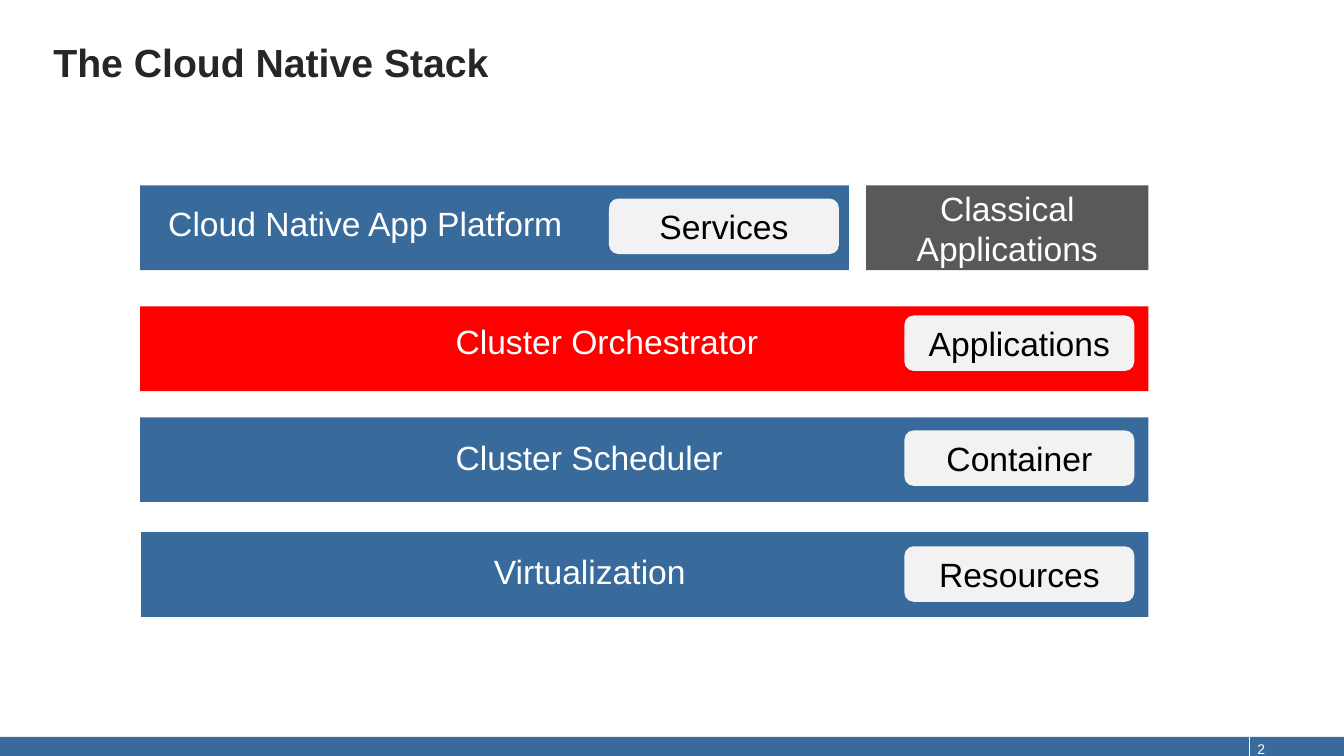
from dataclasses import dataclass

import pptx
import pptx.dml.color
import pptx.enum.shapes
import pptx.enum.text
import pptx.util
from pptx.util import Inches

SHAPE = pptx.enum.shapes.MSO_SHAPE
ALIGN = pptx.enum.text.PP_ALIGN
ANCHOR = pptx.enum.text.MSO_ANCHOR


@dataclass(frozen=True)
class Theme:
    font: str = "Arial"
    blue: str = "386B9B"
    red: str = "FF0000"
    gray: str = "595959"
    pale: str = "F2F2F2"
    white: str = "FFFFFF"
    black: str = "000000"
    heading: str = "262626"
    title_size: int = 28
    label_size: int = 24
    number_size: int = 10


THEME = Theme()
LAYER_HEIGHT = 0.84
LAYER_RIGHT = 11.39


def rgb(color):
    return pptx.dml.color.RGBColor.from_string(color)


def write(shape, text, size, color, bold=False, align=ALIGN.LEFT, anchor=ANCHOR.TOP):
    frame = shape.text_frame
    frame.text = text
    frame.vertical_anchor = anchor
    para = frame.paragraphs[0]
    para.alignment = align
    font = para.runs[0].font
    font.name = THEME.font
    font.size = pptx.util.Pt(size)
    font.bold = bold
    font.color.rgb = rgb(color)


def add_block(page, left, top, width, height, fill, kind=SHAPE.RECTANGLE):
    block = page.shapes.add_shape(
        kind, Inches(left), Inches(top), Inches(width), Inches(height))
    block.shadow.inherit = False
    block.fill.solid()
    block.fill.fore_color.rgb = rgb(fill)
    block.line.fill.background()
    return block


def add_label(page, text, left, top, width):
    box = page.shapes.add_textbox(
        Inches(left), Inches(top), Inches(width), Inches(0.5))
    box.text_frame.word_wrap = False
    write(box, text, THEME.label_size, THEME.white)


def add_tag(page, text, left, top):
    """Add the pale rounded box naming what a layer provides."""
    tag = add_block(page, left, top, 2.28, 0.55, THEME.pale, SHAPE.ROUNDED_RECTANGLE)
    write(tag, text, THEME.label_size, THEME.black,
          align=ALIGN.CENTER, anchor=ANCHOR.MIDDLE)


def add_title(page, text):
    title = page.shapes.title
    title.left, title.top = Inches(0.43), Inches(0.38)
    title.width, title.height = Inches(12.21), Inches(1.09)
    write(title, text, THEME.title_size, THEME.heading, bold=True)
    title.text_frame.paragraphs[0].line_spacing = pptx.util.Pt(30)


def add_footer(page, number):
    add_block(page, 0, 7.31, 13.33, 0.19, THEME.blue)
    divider = page.shapes.add_connector(
        pptx.enum.shapes.MSO_CONNECTOR.STRAIGHT,
        Inches(12.39), Inches(7.31), Inches(12.39), Inches(7.5))
    divider.line.color.rgb = rgb(THEME.white)
    divider.line.width = pptx.util.Pt(1)
    properties = divider._element.spPr
    properties.append(properties.makeelement(pptx.oxml.ns.qn("a:effectLst"), {}))
    box = page.shapes.add_textbox(
        Inches(12.47), Inches(7.16), Inches(0.78), Inches(0.4))
    box.text_frame.word_wrap = True
    box.text_frame.margin_left = box.text_frame.margin_right = 0
    write(box, number, THEME.number_size, THEME.white, anchor=ANCHOR.BOTTOM)


def main():
    deck = pptx.Presentation()
    deck.slide_width, deck.slide_height = Inches(13.33), Inches(7.5)
    page = deck.slides.add_slide(deck.slide_layouts[5])
    add_title(page, "The Cloud Native Stack")
    add_footer(page, "2")

    # Layer: left, top, right, fill; label: text, left, top, width; tag: text, left, top
    layers = [
        ((1.39, 1.84, 8.42, THEME.blue),
         ("Cloud Native App Platform", 1.57, 1.96, 4.29), ("Services", 6.04, 1.97)),
        ((1.39, 3.04, LAYER_RIGHT, THEME.red),
         ("Cluster Orchestrator", 4.42, 3.13, 3.23), ("Applications", 8.97, 3.13)),
        ((1.39, 4.14, LAYER_RIGHT, THEME.blue),
         ("Cluster Scheduler", 4.42, 4.29, 2.88), ("Container", 8.97, 4.27)),
        ((1.4, 5.28, LAYER_RIGHT, THEME.blue),
         ("Virtualization", 4.8, 5.42, 2.13), ("Resources", 8.97, 5.42)),
    ]
    for (left, top, right, fill), label, tag in layers:
        add_block(page, left, top, right - left, LAYER_HEIGHT, fill)
        add_label(page, *label)
        add_tag(page, *tag)

    classical = add_block(page, 8.59, 1.84, 2.8, LAYER_HEIGHT, THEME.gray)
    write(classical, "Classical Applications", THEME.label_size, THEME.white,
          align=ALIGN.CENTER, anchor=ANCHOR.MIDDLE)
    deck.save("out.pptx")


if __name__ == "__main__":
    main()
